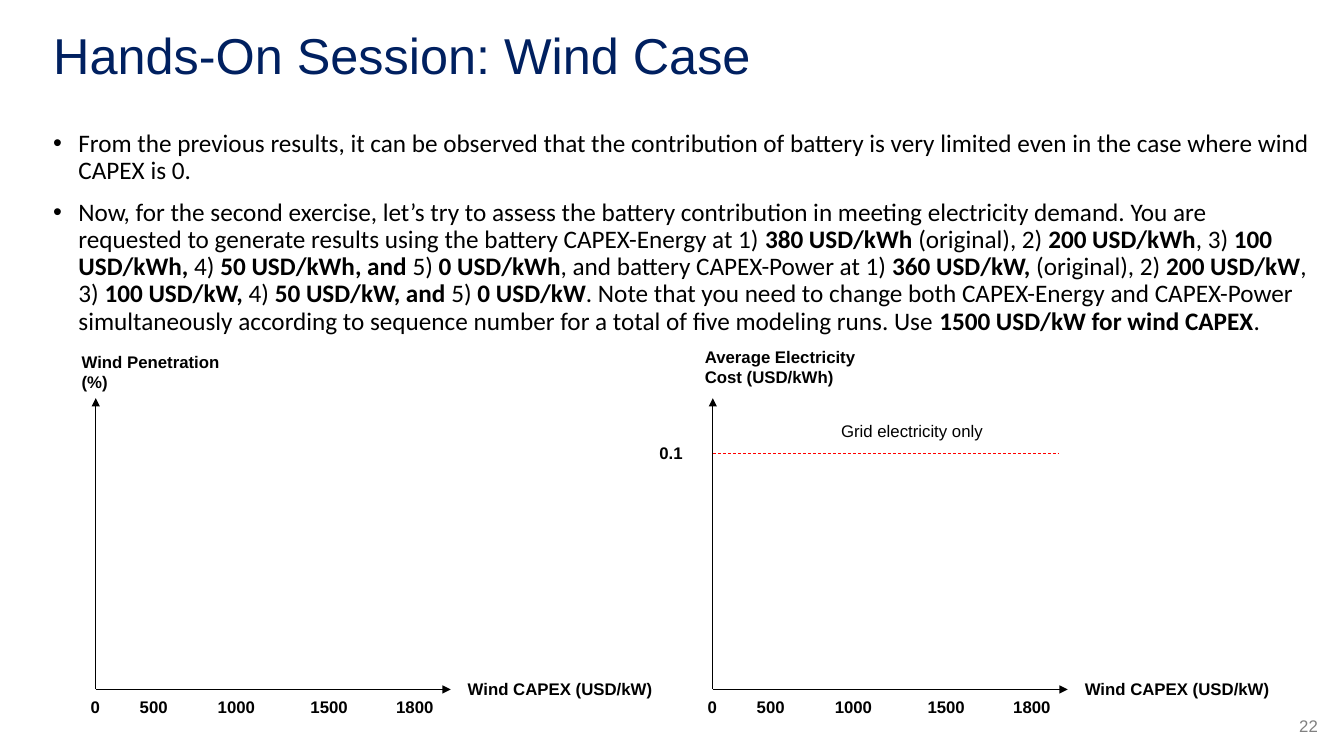
from dataclasses import dataclass
from lxml import etree
from pptx import Presentation
from pptx.dml.color import RGBColor
from pptx.enum.dml import MSO_LINE_DASH_STYLE as DASH
from pptx.enum.shapes import MSO_CONNECTOR as CONN
from pptx.enum.text import MSO_ANCHOR as ANCHOR, PP_ALIGN as ALIGN
from pptx.oxml.ns import qn
from pptx.util import Inches, Pt


@dataclass(frozen=True)
class Theme:
    heading_font: str = "Arial"
    body_font: str = "Calibri"
    title: str = "002060"
    ink: str = "000000"
    grid: str = "FF0000"
    muted: str = "808080"
    title_size: int = 36
    body_size: int = 18
    label_size: int = 12
    line_width: float = 0.5


class Deck:
    def __init__(self, theme):
        self.theme = theme
        self.prs = Presentation()
        self.prs.slide_width = Inches(13.33)
        self.prs.slide_height = Inches(7.5)
        self.s = self.prs.slides.add_slide(self.prs.slide_layouts[6])

    def frame(self, box, anchor, inset=None):
        tf = self.s.shapes.add_textbox(*map(Inches, box)).text_frame
        tf.word_wrap = True
        tf.vertical_anchor = anchor
        if inset is not None:
            tf.margin_left = tf.margin_right = Inches(inset)
            tf.margin_top = tf.margin_bottom = Inches(inset)
        return tf

    def style(self, r, font, size, color, bold=False):
        r.font.name = font
        r.font.size = Pt(size)
        r.font.bold = bold
        r.font.color.rgb = RGBColor.from_string(color)

    def title(self, text, box):
        t = self.theme
        tf = self.frame(box, ANCHOR.MIDDLE)
        tf.text = text
        p = tf.paragraphs[0]
        p.line_spacing = 0.9
        self.style(p.runs[0], t.heading_font, t.title_size, t.title)

    def bullets(self, items, box):
        t = self.theme
        tf = self.frame(box, ANCHOR.TOP)
        for i, item in enumerate(items):
            p = tf.add_paragraph() if i else tf.paragraphs[0]
            p.line_spacing = 0.9
            p.space_before = Pt(10 if i else 0)
            pPr = p._p.get_or_add_pPr()
            pPr.set("marL", str(Inches(0.25)))
            pPr.set("indent", str(Inches(-0.25)))
            etree.SubElement(pPr, qn("a:buFont")).set("typeface", t.heading_font)
            etree.SubElement(pPr, qn("a:buChar")).set("char", "•")
            for j, part in enumerate(item.split("**")):
                r = p.add_run()
                r.text = part
                self.style(r, t.body_font, t.body_size, t.ink, bold=j % 2 == 1)

    def label(self, text, box, align=ALIGN.CENTER, bold=True, color=None, inset=0):
        t = self.theme
        tf = self.frame(box, ANCHOR.MIDDLE, inset)
        tf.text = text
        for p in tf.paragraphs:
            p.alignment = align
            self.style(p.runs[0], t.heading_font, t.label_size, color or t.ink, bold)

    def line(self, start, end, color, arrow=False, dash=None):
        sp = self.s.shapes.add_connector(CONN.STRAIGHT, *map(Inches, start + end))
        sp.line.width = Pt(self.theme.line_width)
        sp.line.color.rgb = RGBColor.from_string(color)
        if dash:
            sp.line.dash_style = dash
        if arrow:
            ln = sp.line._get_or_add_ln()
            etree.SubElement(ln, qn("a:tailEnd")).set("type", "triangle")
        etree.SubElement(sp._element.spPr, qn("a:effectLst"))

    def axes(self, x, y_title, title_at):
        ink = self.theme.ink
        origin = (x, 6.84)
        self.line(origin, (x, 3.95), ink, arrow=True)
        self.line(origin, (x + 3.52, 6.84), ink, arrow=True)
        self.label(y_title, (*title_at, 1.79, 0.34), ALIGN.LEFT)
        self.label("Wind CAPEX (USD/kW)", (x + 3.55, 6.62, 2.11, 0.42))
        for text, dx in TICKS.items():
            self.label(text, (x + dx - 0.42, 6.83, 0.83, 0.36))


TICKS = {"0": 0, "500": 0.58, "1000": 1.4, "1500": 2.32, "1800": 3.17}

BULLETS = [
    "From the previous results, it can be observed that the contribution of "
    "battery is very limited even in the case where wind CAPEX is 0.",
    "Now, for the second exercise, let’s try to assess the battery contribution "
    "in meeting electricity demand. You are requested to generate results using "
    "the battery CAPEX-Energy at 1) **380 USD/kWh **(original), 2) **200 USD/kWh**, "
    "3) **100 USD/kWh,** 4) **50 USD/kWh, and **5) **0 USD/kWh**, and battery "
    "CAPEX-Power at 1) **360 USD/kW, **(original), 2) **200 USD/kW**, "
    "3) **100 USD/kW, **4) **50 USD/kW, and **5) **0 USD/kW**. Note that you need "
    "to change both CAPEX-Energy and CAPEX-Power simultaneously according to "
    "sequence number for a total of five modeling runs. Use "
    "**1500 USD/kW for wind CAPEX**.",
]


def main():
    theme = Theme()
    deck = Deck(theme)
    deck.title("Hands-On Session: Wind Case", (0.43, 0.19, 11.5, 0.78))
    deck.label("22", (12.61, 7, 0.56, 0.4), ALIGN.RIGHT, False, theme.muted, None)
    deck.bullets(BULLETS, (0.43, 1.25, 12.7, 5.5))

    deck.axes(7.07, "Average Electricity Cost (USD/kWh)", (6.99, 3.47))
    deck.line((7.07, 4.5), (10.5, 4.5), theme.grid, dash=DASH.DASH)
    deck.label("0.1", (6.24, 4.31, 0.83, 0.36))
    deck.label("Grid electricity only", (7.79, 4.09, 2.51, 0.36), bold=False)

    deck.axes(0.95, "Wind Penetration\n(%)", (0.81, 3.52))
    deck.prs.save("out.pptx")


if __name__ == "__main__":
    main()
